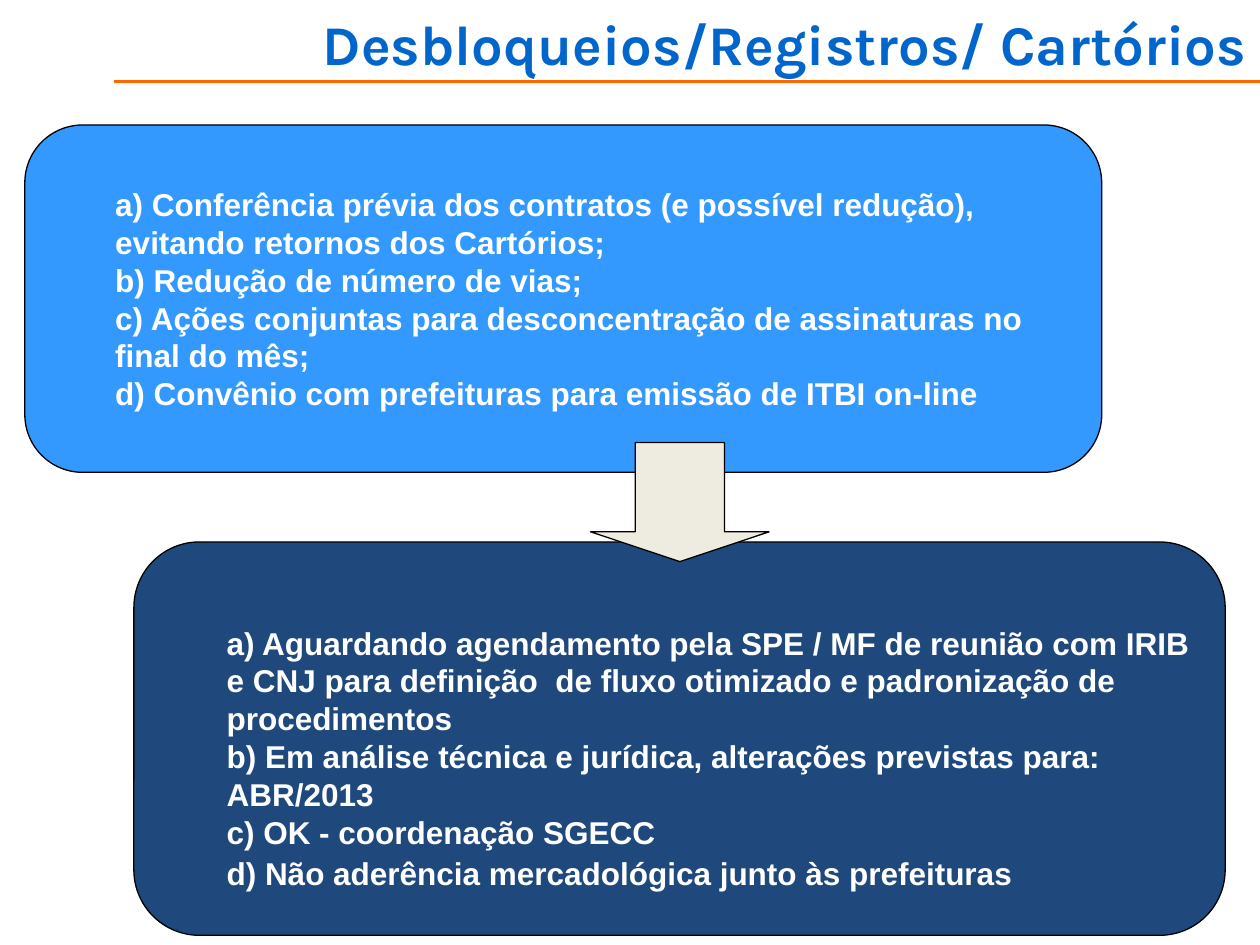
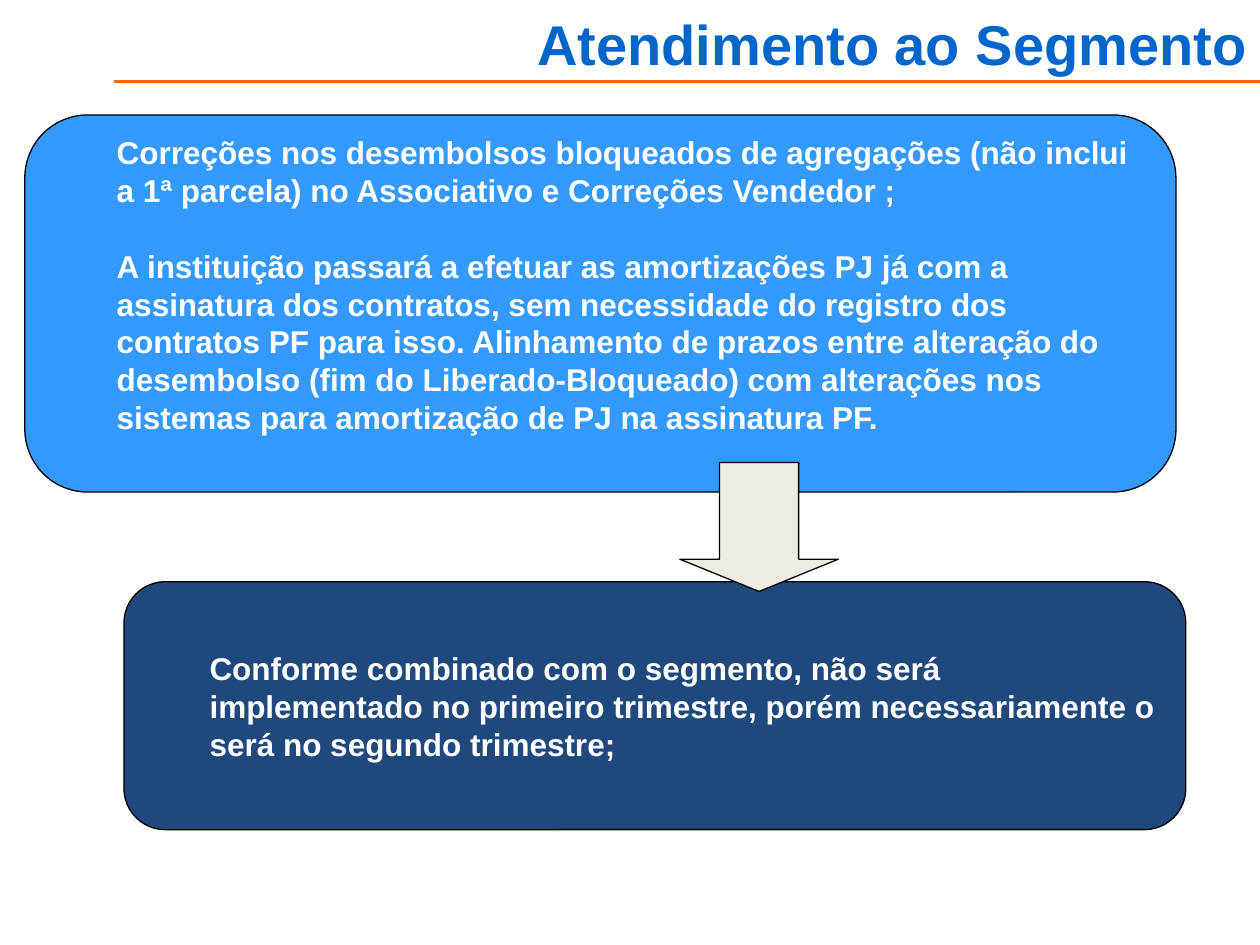
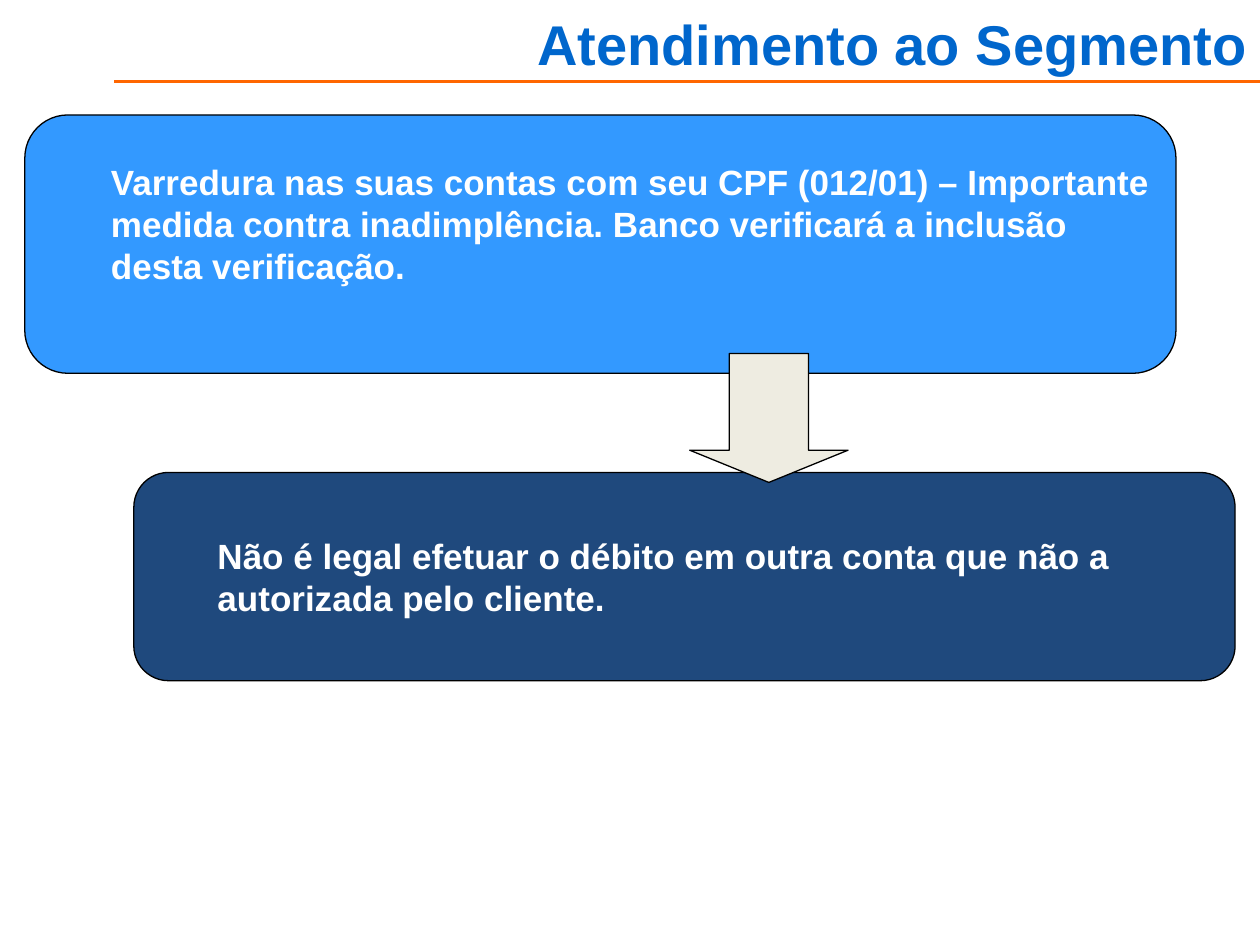
from lxml import etree
from pptx import Presentation
from pptx.dml.color import RGBColor
from pptx.enum import shapes, text
from pptx.oxml.ns import qn
from pptx.util import Pt

TITLE_BLUE, ORANGE = "0066CC", "FF6600"
LIGHT_BLUE, DARK_BLUE, BEIGE = "3399FF", "1F497D", "EEECE1"
BLACK, WHITE = "000000", "FFFFFF"
LEADING = 1.2


def rgb(code):
    return RGBColor.from_string(code)


def add_outlined(s, kind, place, fill):
    sp = s.shapes.add_shape(kind, *map(Pt, place))
    sp.shadow.inherit = False
    sp.fill.solid()
    sp.fill.fore_color.rgb = rgb(fill)
    sp.line.color.rgb = rgb(BLACK)
    sp.line.width = Pt(0.75)
    return sp


# Box: place, fill, extra inset above and below, [(text, space before)]
slides = [
    {"title": "Desbloqueios/Registros/ Cartórios", "font": "Karla", "size": 18,
     "arrow": (337.5, 252.9, 102, 68),
     "boxes": [
         ((14.2, 71.4, 615.4, 198.5), LIGHT_BLUE, 0, 0, [
             ("a) Conferência prévia dos contratos (e possível redução), "
              "evitando retornos dos Cartórios;", 0),
             ("b) Redução de número de vias;", 0),
             ("c) Ações conjuntas para desconcentração de assinaturas no final do mês;", 0),
             ("d) Convênio com prefeituras para emissão de ITBI on-line", 0)]),
         ((76.5, 309.7, 623.6, 224.8), DARK_BLUE, 21.6, 0, [
             ("a) Aguardando agendamento pela SPE / MF de reunião com IRIB e CNJ "
              "para definição  de fluxo otimizado e padronização de procedimentos", 0),
             ("b) Em análise técnica e jurídica, alterações previstas para: ABR/2013", 0),
             ("c) OK - coordenação SGECC", 0),
             ("d) Não aderência mercadológica junto às prefeituras", 2)])]},
    {"title": "Atendimento ao Segmento", "font": "Arial", "size": 18,
     "arrow": (388.5, 264.3, 90.5, 73.7),
     "boxes": [
         ((14.2, 65.7, 657.8, 215.5), LIGHT_BLUE, 0, 21.6, [
             ("Correções nos desembolsos bloqueados de agregações (não inclui a "
              "1ª parcela) no Associativo e Correções Vendedor ;", 0),
             ("A instituição passará a efetuar as amortizações PJ já com a assinatura "
              "dos contratos, sem necessidade do registro dos contratos PF para isso. "
              "Alinhamento de prazos entre alteração do desembolso (fim do "
              "Liberado-Bloqueado) com alterações nos sistemas para amortização de PJ "
              "na assinatura PF.", 21.6)]),
         ((70.8, 332.4, 606.8, 141.7), DARK_BLUE, 0, 0, [
             ("Conforme combinado com o segmento, não será implementado no primeiro "
              "trimestre, porém necessariamente o será no segundo trimestre;", 0)])]},
    {"title": "Atendimento ao Segmento", "font": "Arial", "size": 20,
     "arrow": (394.1, 202, 90.5, 73.7),
     "boxes": [
         ((14.2, 65.7, 657.8, 147.6), LIGHT_BLUE, 0, 24, [
             ("Varredura nas suas contas com seu CPF (012/01) – Importante medida "
              "contra inadimplência. Banco verificará a inclusão desta verificação.", 0)]),
         ((76.5, 270, 629.3, 119), DARK_BLUE, 0, 0, [
             ("Não é legal efetuar o débito em outra conta que não a autorizada "
              "pelo cliente.", 0)])]},
]

prs = Presentation()
prs.slide_width, prs.slide_height = Pt(720), Pt(540)

for content in slides:
    s = prs.slides.add_slide(prs.slide_layouts[5])

    title = s.shapes.title
    title.left, title.top, title.width, title.height = map(Pt, (0, 0, 720, 46))
    tf = title.text_frame
    tf.text = content["title"]
    tf.auto_size = text.MSO_AUTO_SIZE.NONE
    tf.vertical_anchor = text.MSO_ANCHOR.TOP
    p = tf.paragraphs[0]
    p.alignment = text.PP_ALIGN.RIGHT
    p.line_spacing = Pt(40)
    p.font.name, p.font.size, p.font.bold = content["font"], Pt(32), True
    p.font.color.rgb = rgb(TITLE_BLUE)

    rule = s.shapes.add_connector(shapes.MSO_CONNECTOR.STRAIGHT,
                                  Pt(720), Pt(46.5), Pt(65), Pt(46.5))
    rule.line.color.rgb = rgb(ORANGE)
    rule.line.width = Pt(1.75)
    etree.SubElement(rule._element.spPr, qn("a:effectLst"))

    for place, fill, extra_top, extra_bottom, paragraphs in content["boxes"]:
        box = add_outlined(s, shapes.MSO_SHAPE.ROUNDED_RECTANGLE, place, fill)
        tf = box.text_frame
        tf.word_wrap = True
        tf.vertical_anchor = text.MSO_ANCHOR.MIDDLE
        tf.margin_left, tf.margin_right = Pt(42), Pt(7.2)
        tf.margin_top, tf.margin_bottom = Pt(3.6 + extra_top), Pt(3.6 + extra_bottom)
        for i, (words, space) in enumerate(paragraphs):
            p = tf.add_paragraph() if i else tf.paragraphs[0]
            p.text = words
            p.alignment = text.PP_ALIGN.LEFT
            p.line_spacing = Pt(LEADING * content["size"])
            if space:
                p.space_before = Pt(space)
            p.font.name, p.font.size, p.font.bold = "Arial", Pt(content["size"]), True
            p.font.color.rgb = rgb(WHITE)

    arrow = add_outlined(s, shapes.MSO_SHAPE.DOWN_ARROW, content["arrow"], BEIGE)
    arrow.adjustments[0], arrow.adjustments[1] = 0.5, 0.25

prs.save("out.pptx")
